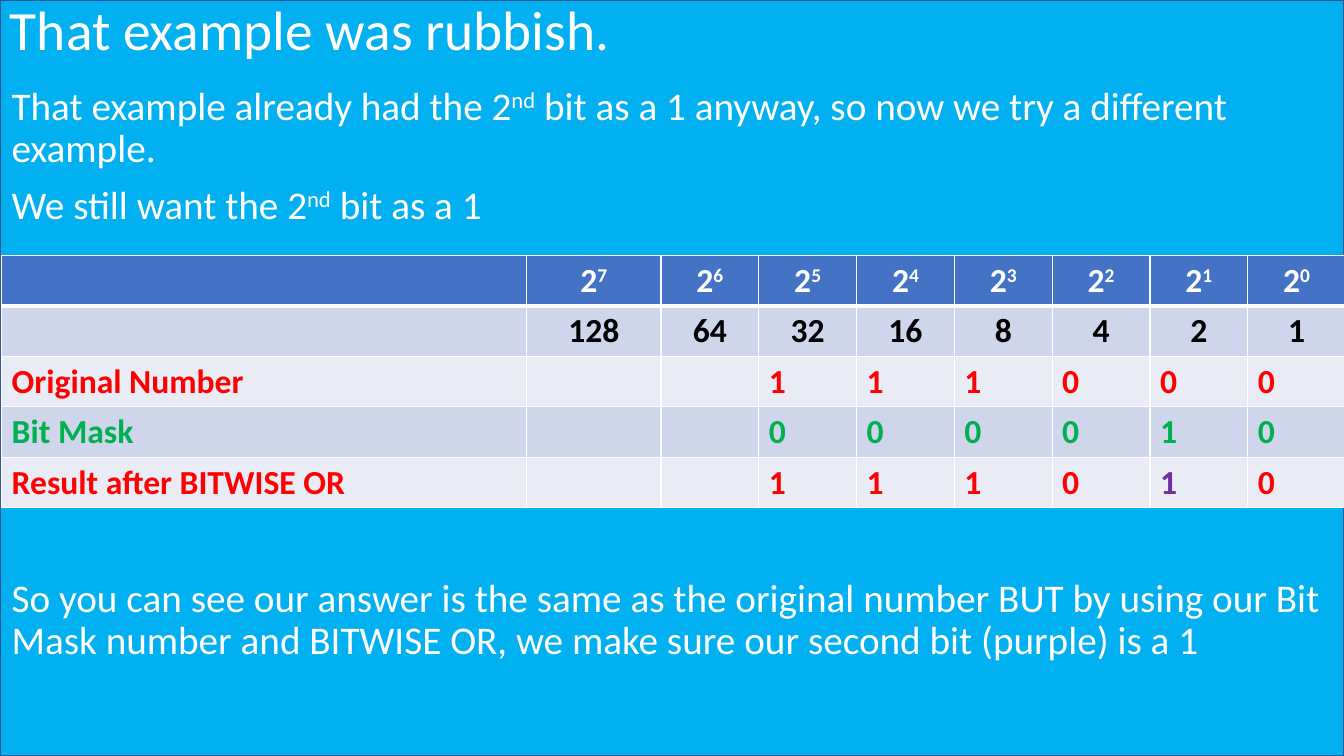
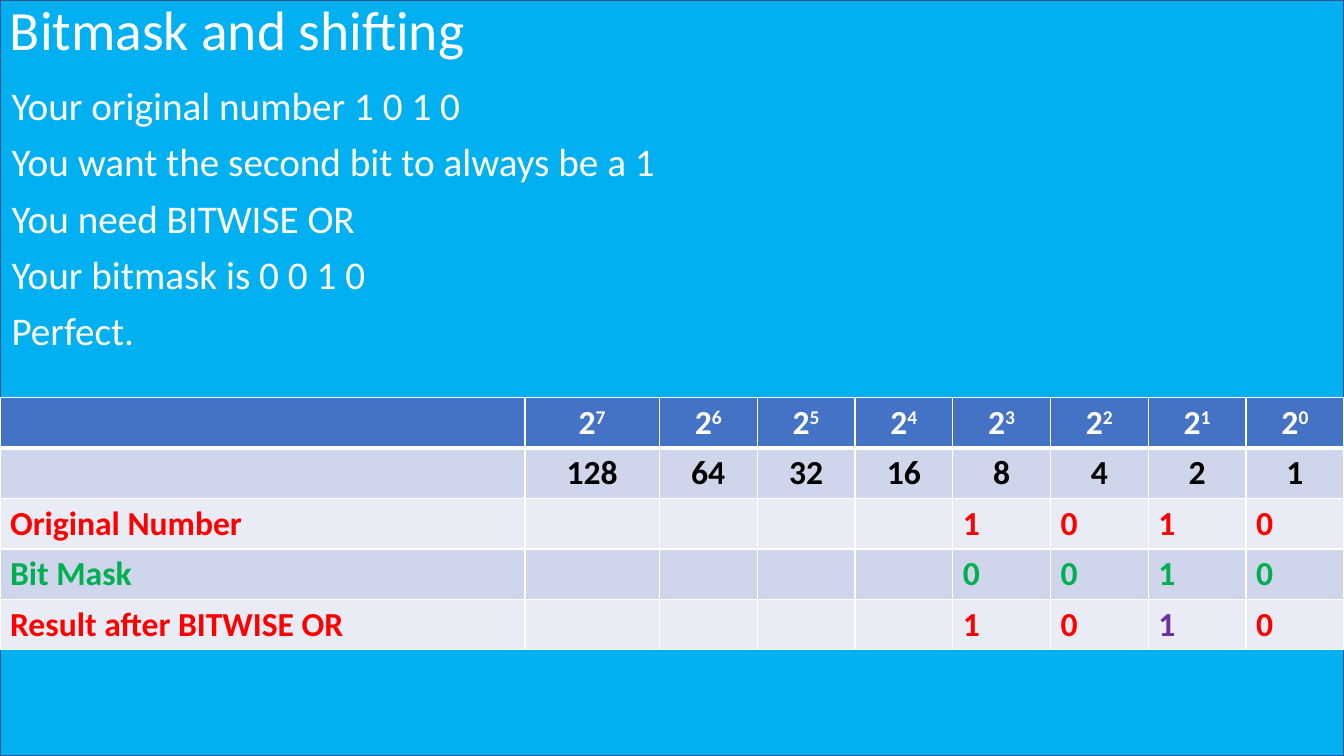
import pptx
import pptx.dml.color
import pptx.enum.shapes
import pptx.enum.text
import pptx.oxml
import pptx.oxml.ns
import pptx.util

Pt = pptx.util.Pt
ALIGN = pptx.enum.text.PP_ALIGN
ANCHOR = pptx.enum.text.MSO_ANCHOR

# Text between carets is superscript. Each paragraph has its space before.
SLIDES = [
    {
        "title": "That example was rubbish.",
        "body": [
            ("That example already had the 2^nd^ bit as a 1 anyway, "
             "so now we try a different example.", 0),
            ("We still want the 2^nd^ bit as a 1", 10),
            ("So you can see our answer is the same as the original number BUT "
             "by using our Bit Mask number and BITWISE OR, we make sure our "
             "second bit (purple) is a 1", 250.5),
        ],
        "table_position": (1.2, 182.5),
        "original": "111000",
        "mask": "000010",
    },
    {
        "title": "Bitmask and shifting",
        "body": [
            ("Your original number 1 0 1 0", 0),
            ("You want the second bit to always be a 1", 10),
            ("You need BITWISE OR", 10),
            ("Your bitmask is 0 0 1 0", 10),
            ("Perfect.", 10),
        ],
        "table_position": (0, 284),
        "original": "1010",
        "mask": "0010",
    },
]

SLIDE_WIDTH, SLIDE_HEIGHT = 960, 540
BIT_COUNT = 8
SECOND_BIT_COLUMN = BIT_COUNT - 1
LABEL_WIDTH, FIRST_BIT_WIDTH, ROW_HEIGHT = 375, 96, 36
BIT_WIDTH = (SLIDE_WIDTH - LABEL_WIDTH - FIRST_BIT_WIDTH) / (BIT_COUNT - 1)

WHITE, BLACK, RED, GREEN, PURPLE = "FFFFFF", "000000", "FF0000", "00B050", "7030A0"
BACKGROUND, OUTLINE = "00B0F0", "325491"
HEADER_FILL, BAND_FILLS = "4472C4", ("E9EBF5", "CFD5EA")

TITLE_FONT = {"name": "Calibri", "size": Pt(39.6), "bold": False}
BODY_FONT = {"name": "Calibri", "size": Pt(28), "bold": False}
TABLE_FONT = {"name": "Calibri", "size": Pt(24), "bold": True}


def rgb(color):
    return pptx.dml.color.RGBColor.from_string(color)


def set_fill(target, color):
    target.fill.solid()
    target.fill.fore_color.rgb = rgb(color)


def write_text(paragraph, text, font, color):
    """Add runs to the paragraph, raising the parts between carets."""
    for index, part in enumerate(text.split("^")):
        if not part:
            continue
        run = paragraph.add_run()
        run.text = part
        for name, value in font.items():
            setattr(run.font, name, value)
        run.font.color.rgb = rgb(color)
        if index % 2:
            run._r.get_or_add_rPr().set("baseline", "30000")


def add_background(slide):
    shape = slide.shapes.add_shape(
        pptx.enum.shapes.MSO_SHAPE.RECTANGLE, 0, 0, Pt(SLIDE_WIDTH), Pt(SLIDE_HEIGHT))
    shape.shadow.inherit = False
    set_fill(shape, BACKGROUND)
    shape.line.color.rgb = rgb(OUTLINE)
    shape.line.width = Pt(1)


def add_text(slide, box, paragraphs, font, anchor):
    shape = slide.shapes.add_textbox(*map(Pt, box))
    frame = shape.text_frame
    frame.word_wrap = True
    frame.vertical_anchor = anchor
    for index, (text, space_before) in enumerate(paragraphs):
        paragraph = frame.add_paragraph() if index else frame.paragraphs[0]
        paragraph.line_spacing = 0.9
        paragraph.space_before = Pt(space_before)
        write_text(paragraph, text, font, WHITE)


def set_borders(cell, widths):
    """Draw white cell borders; widths follow left, right, top, bottom."""
    properties = cell._tc.get_or_add_tcPr()
    for index, (side, width) in enumerate(zip("LRTB", widths)):
        border = pptx.oxml.parse_xml(
            f'<a:ln{side} {pptx.oxml.ns.nsdecls("a")} w="{Pt(width)}">'
            f'<a:solidFill><a:srgbClr val="{WHITE}"/></a:solidFill></a:ln{side}>')
        properties.insert(index, border)


def table_rows(original, mask):
    """Return label and bit texts with the text colour of each row."""
    powers = range(BIT_COUNT - 1, -1, -1)
    result = format(int(original, 2) | int(mask, 2), f"0{len(original)}b")
    rows = [
        (["", *(f"2^{power}^" for power in powers)], WHITE),
        (["", *(str(2 ** power) for power in powers)], BLACK),
    ]
    for label, bits, color in (
        ("Original Number", original, RED),
        ("Bit Mask", mask, GREEN),
        ("Result after BITWISE OR", result, RED),
    ):
        rows.append(([label, *bits.rjust(BIT_COUNT)], color))
    return rows


def add_bit_table(slide, position, rows):
    left, top = position
    table = slide.shapes.add_table(
        len(rows), BIT_COUNT + 1, Pt(left), Pt(top),
        Pt(SLIDE_WIDTH), Pt(ROW_HEIGHT * len(rows))).table
    widths = [LABEL_WIDTH, FIRST_BIT_WIDTH] + [BIT_WIDTH] * (BIT_COUNT - 1)
    for column, width in zip(table.columns, widths):
        column.width = Pt(width)
    for row_index, (texts, color) in enumerate(rows):
        table.rows[row_index].height = Pt(ROW_HEIGHT)
        heading = row_index < 2
        top_width = 3 if row_index == 1 else 1
        bottom_width = 3 if row_index == 0 else 1
        for column_index, text in enumerate(texts):
            cell = table.cell(row_index, column_index)
            set_fill(cell, BAND_FILLS[row_index % 2] if row_index else HEADER_FILL)
            set_borders(cell, (1, 1, top_width, bottom_width))
            cell.vertical_anchor = ANCHOR.TOP if heading else ANCHOR.MIDDLE
            paragraph = cell.text_frame.paragraphs[0]
            paragraph.alignment = ALIGN.CENTER if heading else ALIGN.LEFT
            is_forced_bit = (row_index == len(rows) - 1
                             and column_index == SECOND_BIT_COLUMN)
            write_text(paragraph, text.strip(), TABLE_FONT,
                       PURPLE if is_forced_bit else color)


def main():
    presentation = pptx.Presentation()
    presentation.slide_width = Pt(SLIDE_WIDTH)
    presentation.slide_height = Pt(SLIDE_HEIGHT)
    for content in SLIDES:
        slide = presentation.slides.add_slide(presentation.slide_layouts[6])
        add_background(slide)
        add_text(slide, (0, 0, SLIDE_WIDTH, 46), [(content["title"], 0)],
                 TITLE_FONT, ANCHOR.MIDDLE)
        add_text(slide, (1.2, 58.3, SLIDE_WIDTH, 481.7), content["body"],
                 BODY_FONT, ANCHOR.TOP)
        add_bit_table(slide, content["table_position"],
                      table_rows(content["original"], content["mask"]))
    presentation.save("out.pptx")


if __name__ == "__main__":
    main()
